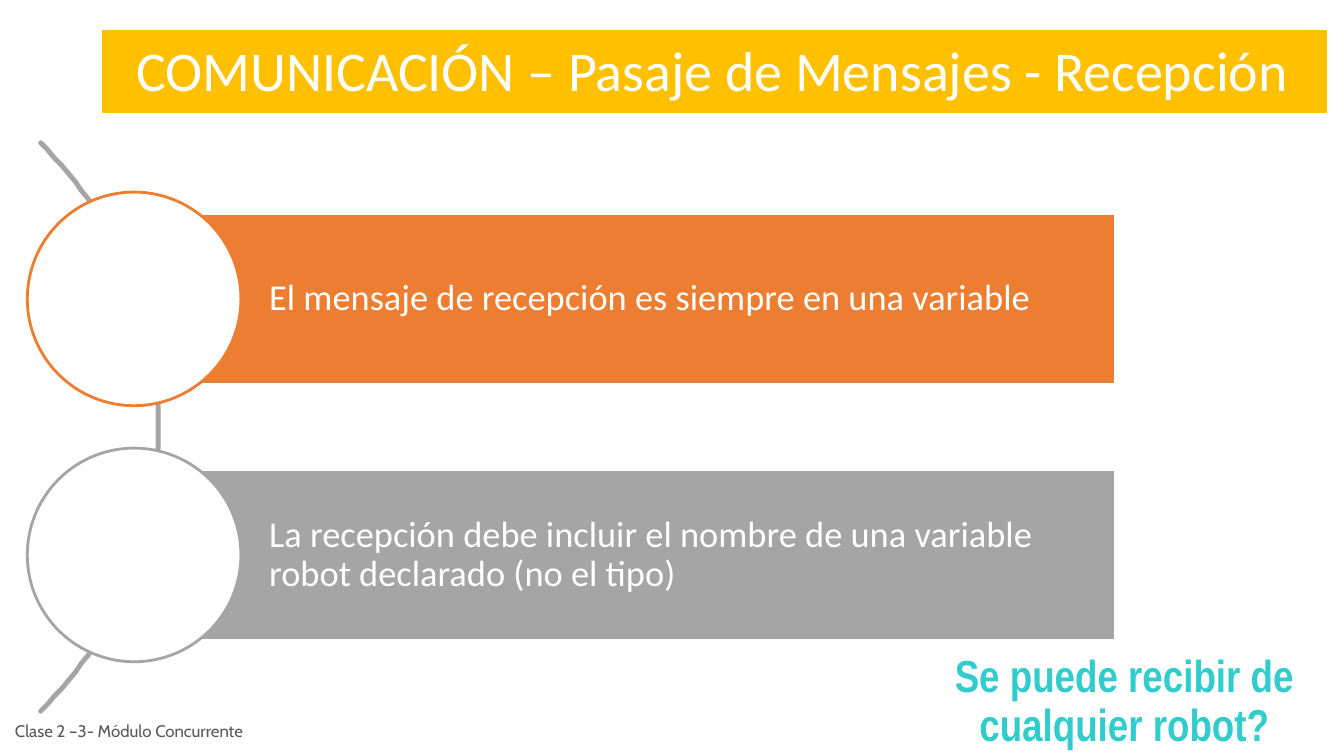
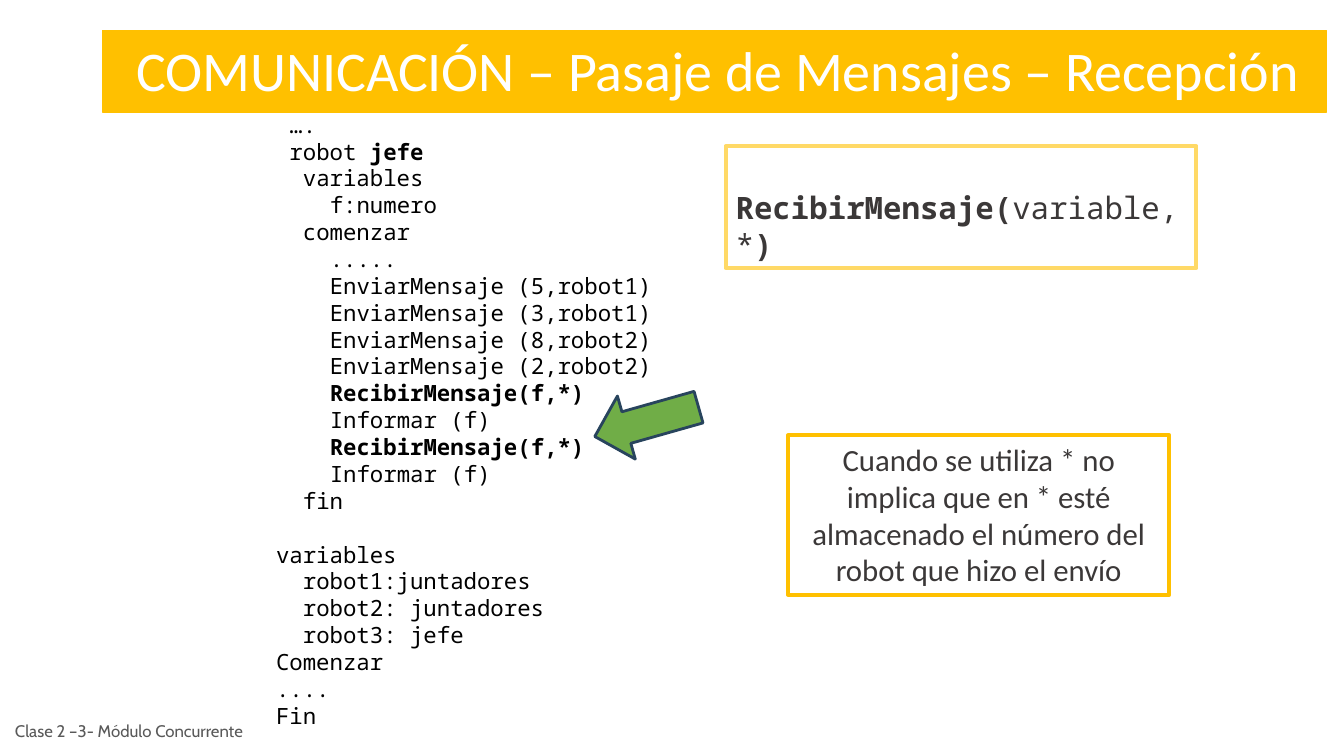
from dataclasses import dataclass
from math import cos, pi, sin

from pptx import Presentation
from pptx.dml.color import RGBColor
from pptx.enum.shapes import MSO_SHAPE
from pptx.enum.text import MSO_ANCHOR, MSO_AUTO_SIZE, PP_ALIGN
from pptx.oxml.ns import qn
from pptx.util import Pt

RECTANGLE, ELLIPSE, RIGHT_ARROW = MSO_SHAPE.RECTANGLE, MSO_SHAPE.OVAL, MSO_SHAPE.RIGHT_ARROW
TOP, MIDDLE = MSO_ANCHOR.TOP, MSO_ANCHOR.MIDDLE
LEFT, CENTER = PP_ALIGN.LEFT, PP_ALIGN.CENTER
NO_AUTOFIT = MSO_AUTO_SIZE.NONE
TITLE_ONLY_LAYOUT = 5


@dataclass(frozen=True)
class Theme:
    band: str = "FFC000"
    white: str = "FFFFFF"
    orange: str = "ED7D31"
    grey: str = "A5A5A5"
    turquoise: str = "33CCCC"
    footer: str = "595959"
    ink: str = "3B3838"
    black: str = "000000"
    pale_yellow: str = "FFD966"
    green: str = "70AD47"
    navy: str = "28445D"
    sans: str = "Calibri"
    mono: str = "Noto Sans Mono"
    narrow: str = "Arial Narrow"
    footer_font: str = "Cabin"
    title_size: float = 40
    question_size: float = 32
    row_size: float = 26
    note_size: float = 22
    code_size: float = 16
    footer_size: float = 12


THEME = Theme()


@dataclass(frozen=True)
class Box:
    left: float
    top: float
    width: float
    height: float


@dataclass(frozen=True)
class TextStyle:
    font: str
    size: float
    color: str
    bold: bool = False


@dataclass(frozen=True)
class Run:
    text: str
    bold: bool = False


@dataclass(frozen=True)
class Row:
    text: str
    color: str


@dataclass(frozen=True)
class CodeLine:
    indent: int  # in character widths
    runs: tuple[Run, ...]
    gap_before: bool = False


def code(indent: int, text: str, bold: bool = False, gap_before: bool = False) -> CodeLine:
    return CodeLine(indent, (Run(text, bold),), gap_before)


# Content
FOOTER_TEXT = "Clase 2 –3- Módulo Concurrente"
ROWS = (
    Row("El mensaje de recepción es siempre en una variable", THEME.orange),
    Row("La recepción debe incluir el nombre de una variable robot declarado (no el tipo)",
        THEME.grey),
)
CODE_LINES = (
    code(1, "…."),
    CodeLine(1, (Run("robot "), Run("jefe", True))),
    code(2, "variables"),
    code(4, "f:numero"),
    code(2, "comenzar"),
    code(4, "....."),
    code(4, "EnviarMensaje (5,robot1)"),
    code(4, "EnviarMensaje (3,robot1)"),
    code(4, "EnviarMensaje (8,robot2)"),
    code(4, "EnviarMensaje (2,robot2)"),
    code(4, "RecibirMensaje(f,*)", bold=True),
    code(4, "Informar (f)"),
    code(4, "RecibirMensaje(f,*)", bold=True),
    code(4, "Informar (f)"),
    code(2, "fin"),
    code(0, "variables", gap_before=True),
    code(2, "robot1:juntadores"),
    code(2, "robot2: juntadores"),
    code(2, "robot3: jefe"),
    code(0, "Comenzar"),
    code(0, "...."),
    code(0, "Fin"),
)

# Layout
BAND = Box(73.4, 21.6, 874.1, 58.3)
FOOTER = Box(3.6, 507.6, 193, 28.8)
QUESTION = Box(658.1, 463.7, 290.2, 76.3)
CODE = Box(190.1, 75.6, 401.8, 453.6)
CALL = Box(518.4, 104.4, 336.2, 87.1)
NOTE = Box(563, 311, 272.2, 113.8)
ARROW = Box(423.4, 277.9, 77, 46.8)
ROW_LEFT, ROW_WIDTH, ROW_HEIGHT = 95.8, 701.3, 121.7
FIRST_ROW_MIDDLE, ROW_PITCH = 213.5, 182.9
CIRCLE_DIAMETER = 152.6
ARC_CENTER_X, ARC_RADIUS, ARC_STEPS = -174.2, 287.3, 60
CODE_CHARACTER_WIDTH = 0.6 * THEME.code_size
CODE_LINE_HEIGHT = 1.2 * THEME.code_size


def rgb(color: str) -> RGBColor:
    return RGBColor.from_string(color)


def prepare_frame(shape, anchor=TOP, left=7.2, top=3.6, right=7.2, bottom=3.6):
    frame = shape.text_frame
    frame.word_wrap = True
    frame.auto_size = NO_AUTOFIT
    frame.vertical_anchor = anchor
    frame.margin_left, frame.margin_top = Pt(left), Pt(top)
    frame.margin_right, frame.margin_bottom = Pt(right), Pt(bottom)
    return frame


def write_runs(paragraph, runs: tuple[Run, ...], style: TextStyle,
               alignment=LEFT, line_spacing: float = 1.0) -> None:
    paragraph.alignment = alignment
    paragraph.line_spacing = line_spacing
    paragraph.space_before = Pt(0)
    for part in runs:
        run = paragraph.add_run()
        run.text = part.text
        run.font.name = style.font
        run.font.size = Pt(style.size)
        run.font.bold = style.bold or part.bold
        run.font.color.rgb = rgb(style.color)


def paint(shape, fill: str | None, line: str, line_width: float) -> None:
    shape.shadow.inherit = False
    if fill:
        shape.fill.solid()
        shape.fill.fore_color.rgb = rgb(fill)
    else:
        shape.fill.background()
    shape.line.color.rgb = rgb(line)
    shape.line.width = Pt(line_width)


def place(box: Box) -> tuple[Pt, Pt, Pt, Pt]:
    return Pt(box.left), Pt(box.top), Pt(box.width), Pt(box.height)


def add_figure(slide, kind, box: Box, fill: str | None, line: str, line_width: float):
    shape = slide.shapes.add_shape(kind, *place(box))
    paint(shape, fill, line, line_width)
    return shape


def add_label(slide, box: Box, text: str, style: TextStyle, anchor=TOP,
              alignment=LEFT, line_spacing: float = 1.0) -> None:
    frame = prepare_frame(slide.shapes.add_textbox(*place(box)), anchor)
    write_runs(frame.paragraphs[0], (Run(text),), style, alignment, line_spacing)


def add_titled_slide(presentation, title_text: str):
    """Add a slide with the title band and the footer."""
    slide = presentation.slides.add_slide(presentation.slide_layouts[TITLE_ONLY_LAYOUT])
    title = slide.shapes.title
    title.left, title.top, title.width, title.height = place(BAND)
    title.fill.solid()
    title.fill.fore_color.rgb = rgb(THEME.band)
    title.line.color.rgb = rgb(THEME.band)
    title.line.width = Pt(1)
    frame = prepare_frame(title, left=23.8, right=0)
    write_runs(frame.paragraphs[0], (Run(title_text),),
               TextStyle(THEME.sans, THEME.title_size, THEME.white))
    add_label(slide, FOOTER, FOOTER_TEXT,
              TextStyle(THEME.footer_font, THEME.footer_size, THEME.footer), MIDDLE)
    return slide


def add_arc(slide, center_y: float) -> None:
    """Draw the quarter circle that links the rows."""
    angles = [-pi / 4 + pi / 2 * step / ARC_STEPS for step in range(ARC_STEPS + 1)]
    points = [(ARC_CENTER_X + ARC_RADIUS * cos(angle), center_y + ARC_RADIUS * sin(angle))
              for angle in angles]
    builder = slide.shapes.build_freeform(*points[0], scale=float(Pt(1)))
    builder.add_line_segments(points[1:], close=False)
    arc = builder.convert_to_shape()
    paint(arc, None, THEME.grey, 3.5)
    arc._element.spPr.find(qn("a:ln")).set("cap", "rnd")


def add_row(slide, row: Row, middle: float) -> None:
    box = Box(ROW_LEFT, middle - ROW_HEIGHT / 2, ROW_WIDTH, ROW_HEIGHT)
    bar = add_figure(slide, RECTANGLE, box, row.color, THEME.white, 2)
    frame = prepare_frame(bar, MIDDLE, left=96.5, top=5, right=5, bottom=5)
    write_runs(frame.paragraphs[0], (Run(row.text),),
               TextStyle(THEME.sans, THEME.row_size, THEME.white), line_spacing=0.9)
    radius = CIRCLE_DIAMETER / 2
    circle = Box(ROW_LEFT - radius, middle - radius, CIRCLE_DIAMETER, CIRCLE_DIAMETER)
    add_figure(slide, ELLIPSE, circle, THEME.white, row.color, 2)


def add_code(slide) -> None:
    frame = prepare_frame(slide.shapes.add_textbox(*place(CODE)))
    style = TextStyle(THEME.mono, THEME.code_size, THEME.black)
    for index, line in enumerate(CODE_LINES):
        paragraph = frame.add_paragraph() if index else frame.paragraphs[0]
        write_runs(paragraph, line.runs, style)
        if line.gap_before:
            paragraph.space_before = Pt(CODE_LINE_HEIGHT)
        indent = Pt(line.indent * CODE_CHARACTER_WIDTH)
        paragraph._p.get_or_add_pPr().set("marL", str(int(indent)))


def build_rules_slide(presentation) -> None:
    slide = add_titled_slide(presentation, "COMUNICACIÓN – Pasaje de Mensajes - Recepción")
    add_arc(slide, FIRST_ROW_MIDDLE + ROW_PITCH * (len(ROWS) - 1) / 2)
    for index, row in enumerate(ROWS):
        add_row(slide, row, FIRST_ROW_MIDDLE + index * ROW_PITCH)
    add_label(slide, QUESTION, "Se puede recibir de cualquier robot?",
              TextStyle(THEME.narrow, THEME.question_size, THEME.turquoise, bold=True),
              alignment=CENTER, line_spacing=0.9)


def build_code_slide(presentation) -> None:
    slide = add_titled_slide(presentation, "COMUNICACIÓN – Pasaje de Mensajes – Recepción")
    add_code(slide)

    # Explanation of the asterisk
    note = add_figure(slide, RECTANGLE, NOTE, None, THEME.band, 3)
    note_text = ("Cuando se utiliza * no implica que en * esté almacenado "
                 "el número del robot que hizo el envío")
    write_runs(prepare_frame(note).paragraphs[0], (Run(note_text),),
               TextStyle(THEME.sans, THEME.note_size, THEME.ink), CENTER)

    # Syntax of the call
    call = add_figure(slide, RECTANGLE, CALL, THEME.white, THEME.pale_yellow, 3)
    write_runs(prepare_frame(call, top=30.5).paragraphs[0],
               (Run("RecibirMensaje(", True), Run("variable,*"), Run(")", True)),
               TextStyle(THEME.mono, THEME.note_size, THEME.ink))

    # Pointer to the receiving lines
    arrow = add_figure(slide, RIGHT_ARROW, ARROW, THEME.green, THEME.navy, 2)
    arrow.rotation = 164.2


def main() -> None:
    presentation = Presentation()
    presentation.slide_width, presentation.slide_height = Pt(960), Pt(540)
    build_rules_slide(presentation)
    build_code_slide(presentation)
    presentation.save("out.pptx")


if __name__ == "__main__":
    main()
